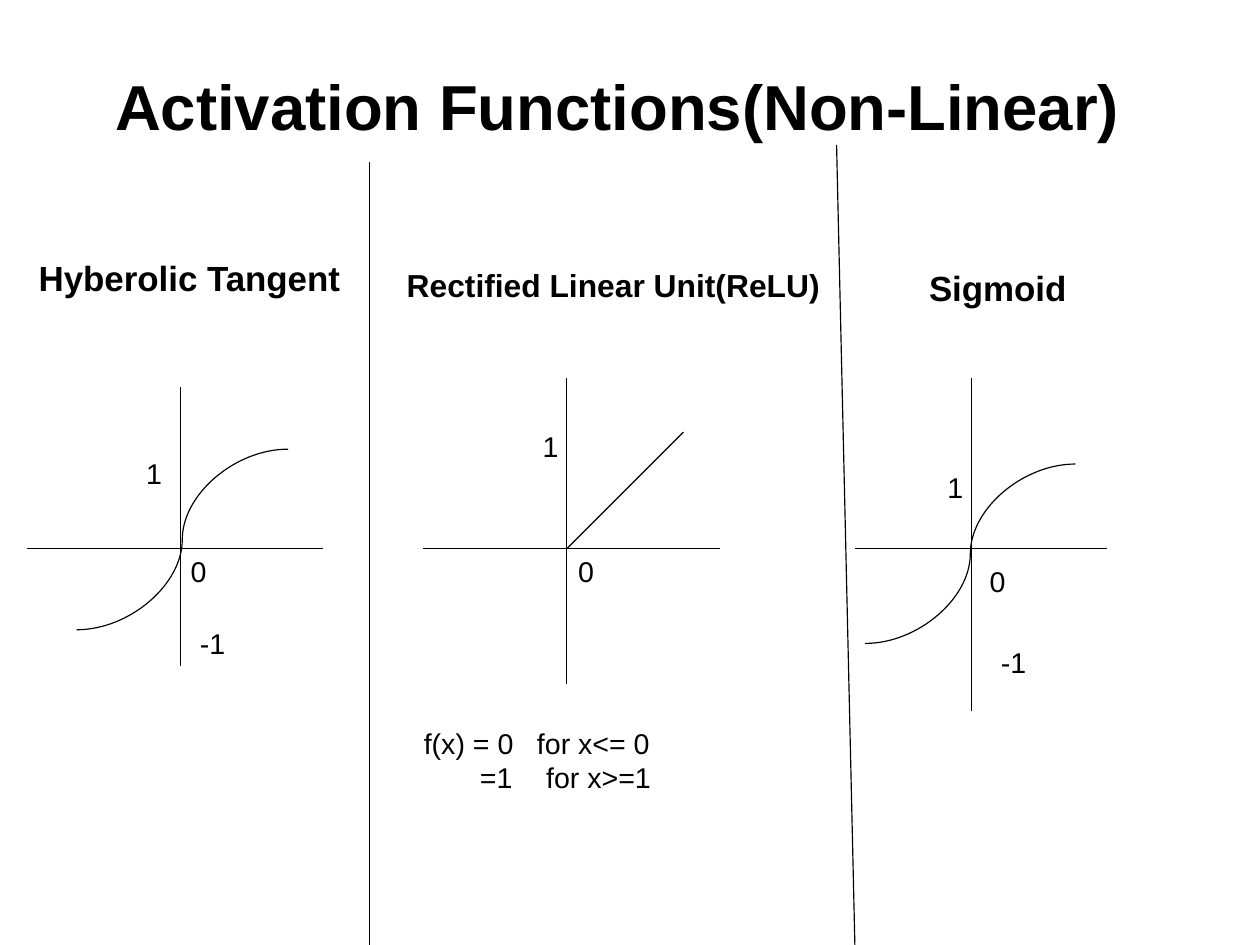
from lxml import etree
from pptx import Presentation
from pptx.dml.color import RGBColor
from pptx.enum.shapes import MSO_CONNECTOR as Connector
from pptx.oxml.ns import qn
from pptx.util import Emu, Inches, Pt

COLORS = {"ink": "000000"}
FONT = "Arial"
# Screen 4:3 page, 28 by 21 cm, as whole EMU
SLIDE_WIDTH, SLIDE_HEIGHT = Emu(10080625), Emu(7559675)
BOTTOM = 8.27

# Each panel: box (left, top), heading (dx, dy, width, size) in that box, origin
# of the axes in that box; axes, lines, curves and labels are offsets from it.
PANELS = [
    {
        "box": (0, 1.42), "heading": ("Hyberolic Tangent", 0.24, 0.78, 2.99, 22),
        "origin": (1.58, 3.38), "x_axis": (-1.34, 1.25), "y_axis": (-1.41, 1.03),
        "lines": [], "curves": [(-0.91, 0.71, 0.94, -0.87)],
        "labels": [("1", -0.4, -0.86), ("0", -0.01, 0), ("-1", 0.07, 0.63)],
    },
    {
        "box": (3.23, 1.42), "heading": ("Rectified Linear Unit(ReLU)", 0.23, 0.86, 4.01, 20),
        "origin": (1.73, 3.38), "x_axis": (-1.26, 1.34), "y_axis": (-1.49, 1.18),
        "lines": [(0, 0, -0.94, 0), (0, 0, 1.02, -1.02)], "curves": [],
        "labels": [("1", -0.31, -1.1), ("0", 0, 0)],
    },
    {
        "box": (7.4, 1.42), "heading": ("Sigmoid", 0.63, 0.86, 1.65, 22),
        "origin": (1.1, 3.38), "x_axis": (-1.02, 1.19), "y_axis": (-1.49, 1.42),
        "lines": [], "curves": [(-0.93, 0.83, 0.91, -0.74)],
        "labels": [("1", -0.31, -0.74), ("0", 0.06, 0.08), ("-1", 0.16, 0.79)],
    },
]


def add_text(slide, box, lines, size, bold=False, tab_stops=()):
    """Write one paragraph per line; tab_stops holds the stops of each line."""
    shape = slide.shapes.add_textbox(*map(Inches, box))
    frame = shape.text_frame
    frame.word_wrap = True
    for index, line in enumerate(lines):
        paragraph = frame.add_paragraph() if index else frame.paragraphs[0]
        if tab_stops:
            tab_list = etree.SubElement(paragraph._p.get_or_add_pPr(), qn("a:tabLst"))
            for stop in tab_stops[index]:
                etree.SubElement(tab_list, qn("a:tab"), pos=str(Inches(stop)), algn="l")
        run = paragraph.add_run()
        run.text = line
        run.font.name = FONT
        run.font.size = Pt(size)
        run.font.bold = bold
        run.font.color.rgb = RGBColor.from_string(COLORS["ink"])


def add_line(slide, ends, kind=Connector.STRAIGHT):
    connector = slide.shapes.add_connector(kind, *map(Inches, ends))
    connector.line.color.rgb = RGBColor.from_string(COLORS["ink"])
    connector.line.width = Pt(0.75)
    etree.SubElement(connector._element.spPr, qn("a:effectLst"))


def add_panel(slide, panel):
    left, top = panel["box"]

    # Heading
    heading, dx, dy, width, size = panel["heading"]
    add_text(slide, (left + dx, top + dy, width, 0.44), [heading], size, bold=True)

    # Axes
    x, y = left + panel["origin"][0], top + panel["origin"][1]
    start, end = panel["x_axis"]
    add_line(slide, (x + start, y, x + end, y))
    start, end = panel["y_axis"]
    add_line(slide, (x, y + start, x, y + end))

    # Function graph
    for kind, graphs in ((Connector.STRAIGHT, panel["lines"]), (Connector.CURVE, panel["curves"])):
        for x1, y1, x2, y2 in graphs:
            add_line(slide, (x + x1, y + y1, x + x2, y + y2), kind)

    # Axis values
    for label, dx, dy in panel["labels"]:
        add_text(slide, (x + dx, y + dy, 0.55, 0.38), [label], 18)


def add_formula(slide, box):
    lines = ["f(x) = 0\tfor x<= 0", "\t=1\tfor x>=1"]
    add_text(slide, box, lines, 18, tab_stops=[(0.99,), (0.49, 1.07)])


def main():
    presentation = Presentation()
    presentation.slide_width = SLIDE_WIDTH
    presentation.slide_height = SLIDE_HEIGHT
    slide = presentation.slides.add_slide(presentation.slide_layouts[6])

    # Title
    add_text(slide, (0.91, 0.54, 10.03, 0.72), ["Activation Functions(Non-Linear)"], 40, bold=True)

    # Column dividers
    add_line(slide, (3.23, 1.42, 3.23, BOTTOM))
    add_line(slide, (7.32, 1.27, 7.48, BOTTOM))

    # Function panels and the ReLU formula
    for panel in PANELS:
        add_panel(slide, panel)
    add_formula(slide, (3.61, 6.3, 3.39, 0.94))

    presentation.save("out.pptx")


if __name__ == "__main__":
    main()
